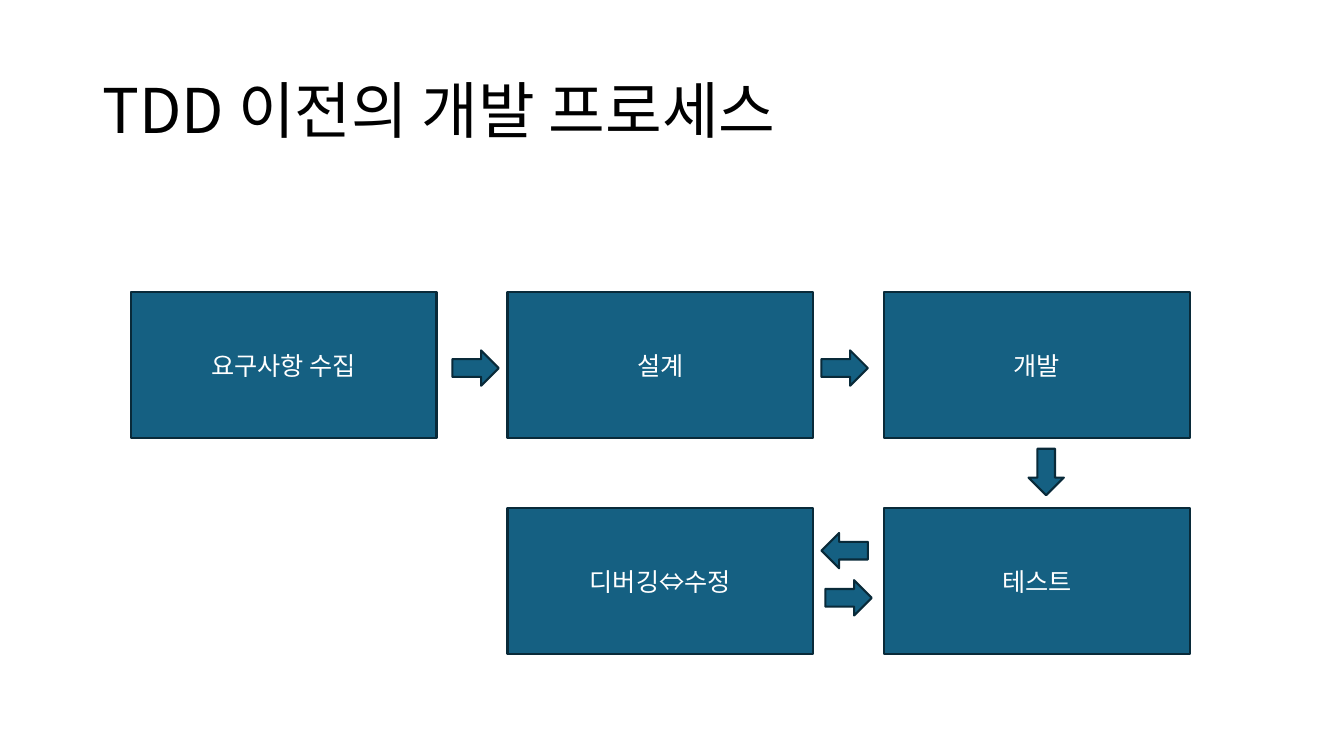
from lxml import etree
from pptx import Presentation
from pptx.dml.color import RGBColor
from pptx.enum.shapes import MSO_SHAPE
from pptx.enum.text import MSO_ANCHOR, MSO_AUTO_SIZE, PP_ALIGN
from pptx.oxml.ns import qn
from pptx.util import Cm, Pt

PROCESS = MSO_SHAPE.FLOWCHART_PROCESS
ARROW = MSO_SHAPE.RIGHT_ARROW
MIDDLE = MSO_ANCHOR.MIDDLE
NO_AUTOFIT = MSO_AUTO_SIZE.NONE
LEFT = PP_ALIGN.LEFT
CENTER = PP_ALIGN.CENTER

FONT = "Noto Sans CJK KR"
COLORS = {"title": "000000", "fill": "156082", "line": "092A39", "label": "FFFFFF"}
TITLE_ONLY = 5

STEP_WIDTH, STEP_HEIGHT = 7.7, 3.68
COLUMN_PITCH, ROW_PITCH = 9.49, 5.44
ARROW_WIDTH, ARROW_HEIGHT = 1.17, 0.89

STEPS = [
    ("요구사항 수집", 0, 0),
    ("설계", 1, 0),
    ("개발", 2, 0),
    ("테스트", 2, 1),
    ("디버깅⇔수정", 1, 1),
]
ARROWS = [
    (8.1, 1.47, 0),
    (17.4, 1.47, 0),
    (22.48, 4.09, 90),
    (17.4, 6.07, 180),
    (17.5, 7.26, 0),
]


def color(name):
    return RGBColor.from_string(COLORS[name])


def write_text(shape, text, size, color_name, alignment):
    text_frame = shape.text_frame
    text_frame.text = text
    text_frame.word_wrap = True
    text_frame.vertical_anchor = MIDDLE
    paragraph = text_frame.paragraphs[0]
    paragraph.alignment = alignment
    font = paragraph.runs[0].font
    font.name = FONT
    font.size = Pt(size)
    font.color.rgb = color(color_name)
    east_asian = etree.SubElement(paragraph.runs[0].font._element, qn("a:ea"))
    east_asian.set("typeface", FONT)
    return paragraph


def add_title(slide, left, top, width, height):
    title = slide.shapes.title
    title.left, title.top = Cm(left), Cm(top)
    title.width, title.height = Cm(width), Cm(height)
    paragraph = write_text(title, "TDD 이전의 개발 프로세스", 44, "title", LEFT)
    paragraph.line_spacing = 0.9
    title.text_frame.auto_size = NO_AUTOFIT


def add_flow_shape(slide, kind, left, top, width, height):
    shape = slide.shapes.add_shape(kind, Cm(left), Cm(top), Cm(width), Cm(height))
    shape.shadow.inherit = False
    shape.fill.solid()
    shape.fill.fore_color.rgb = color("fill")
    shape.line.color.rgb = color("line")
    shape.line.width = Pt(1.5)
    return shape


def add_process_flow(slide, left, top):
    for label, column, row in STEPS:
        step = add_flow_shape(
            slide, PROCESS,
            left + column * COLUMN_PITCH, top + row * ROW_PITCH,
            STEP_WIDTH, STEP_HEIGHT,
        )
        write_text(step, label, 18, "label", CENTER)
    for offset_x, offset_y, rotation in ARROWS:
        arrow = add_flow_shape(
            slide, ARROW, left + offset_x, top + offset_y, ARROW_WIDTH, ARROW_HEIGHT
        )
        arrow.rotation = rotation


def main():
    presentation = Presentation()
    presentation.slide_width = Cm(33.87)
    presentation.slide_height = Cm(19.05)
    slide = presentation.slides.add_slide(presentation.slide_layouts[TITLE_ONLY])
    add_title(slide, 2.33, 1.01, 29.21, 3.68)
    add_process_flow(slide, 3.3, 7.36)
    presentation.save("out.pptx")


if __name__ == "__main__":
    main()
